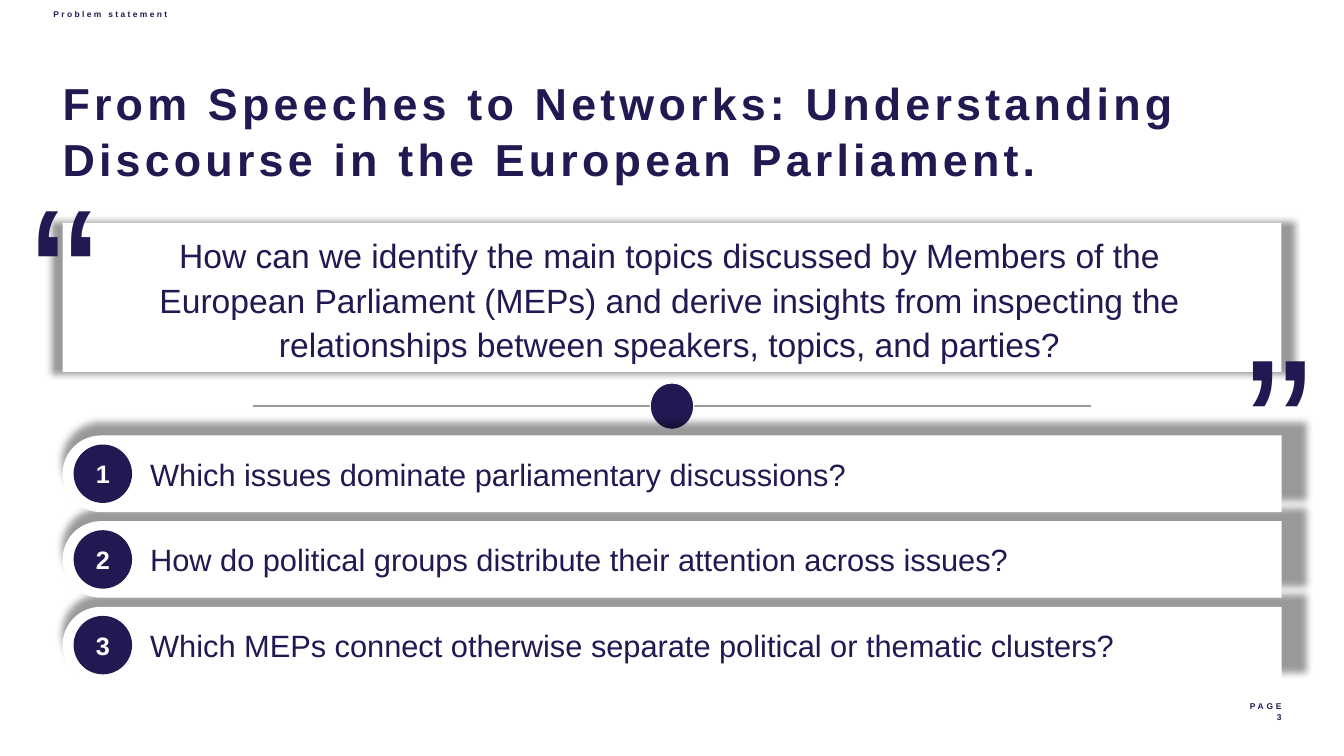
from lxml import etree
from pptx import Presentation
from pptx.dml.color import RGBColor
from pptx.enum import shapes, text
from pptx.oxml import ns
from pptx.util import Inches, Pt

NAVY = RGBColor(0x21, 0x1A, 0x52)
WHITE = RGBColor(0xFF, 0xFF, 0xFF)
GREY = RGBColor(0x9A, 0x9A, 0x9A)
SHAPE = shapes.MSO_SHAPE
MID = text.MSO_ANCHOR.MIDDLE
TOP = text.MSO_ANCHOR.TOP
CENTER = text.PP_ALIGN.CENTER
RIGHT = text.PP_ALIGN.RIGHT

LEFT, WIDE = 0.62, 12.09
BAR, STEP, FIRST = 0.76, 0.85, 4.32
DISC = 0.58

GOAL = ("How can we identify the main topics discussed by Members of the "
        "European Parliament (MEPs) and derive insights from inspecting the "
        "relationships between speakers, topics, and parties?")
ASKS = [
    "Which issues dominate parliamentary discussions?",
    "How do political groups distribute their attention across issues?",
    "Which MEPs connect otherwise separate political or thematic clusters?",
]


class Deck:
    def __init__(self, font="Arial"):
        self.font = font
        self.prs = Presentation()
        self.prs.slide_width = Inches(13.33)
        self.prs.slide_height = Inches(7.5)
        self.slide = self.prs.slides.add_slide(self.prs.slide_layouts[1])
        self.items = self.slide.shapes

    def letter(self, shape, lines, size, color=NAVY, bold=False, space=0,
               align=None, anchor=TOP, pad=(0, 0.05, 0, 0.05), lead=None):
        """Fill a shape's frame, one paragraph for each line."""
        frame = shape.text_frame
        frame.word_wrap = True
        frame.auto_size = text.MSO_AUTO_SIZE.NONE
        frame.vertical_anchor = anchor
        (frame.margin_left, frame.margin_top,
         frame.margin_right, frame.margin_bottom) = map(Inches, pad)
        for i, line in enumerate(lines):
            para = frame.add_paragraph() if i else frame.paragraphs[0]
            para.alignment = align
            para.space_before = Pt(0)
            if lead:
                para.line_spacing = lead
            run = para.add_run()
            run.text = line
            font = run.font
            font.name, font.size, font.bold = self.font, Pt(size), bold
            font.color.rgb = color
            if space:
                run._r.get_or_add_rPr().set("spc", str(int(space * 100)))

    def label(self, box, lines, size, **style):
        shape = self.items.add_textbox(*map(Inches, box))
        self.letter(shape, lines, size, **style)

    def holder(self, index, box, line, size, **style):
        """Move a placeholder, drop its bullet and fill it."""
        shape = self.slide.placeholders[index]
        shape.left, shape.top, shape.width, shape.height = map(Inches, box)
        props = shape.text_frame.paragraphs[0]._p.get_or_add_pPr()
        props.set("marL", "0")
        props.set("indent", "0")
        etree.SubElement(props, ns.qn("a:buNone"))
        self.letter(shape, [line], size, bold=True, **style)

    def paint(self, shape, fill, edge=None):
        shape.shadow.inherit = False
        shape.fill.solid()
        shape.fill.fore_color.rgb = fill
        if edge:
            shape.line.color.rgb = edge
            shape.line.width = Pt(0.75)
        else:
            shape.line.fill.background()
        return shape

    def block(self, kind, box, fill, edge=None):
        shape = self.items.add_shape(kind, *map(Inches, box))
        return self.paint(shape, fill, edge)

    def glow(self, shape):
        """Add a soft shadow a little larger than the shape."""
        effects = shape._element.spPr.find(ns.qn("a:effectLst"))
        shade = etree.SubElement(
            effects, ns.qn("a:outerShdw"), blurRad=str(int(Pt(5))),
            sx="102000", sy="102000", algn="ctr", rotWithShape="0")
        color = etree.SubElement(shade, ns.qn("a:prstClr"), val="black")
        etree.SubElement(color, ns.qn("a:alpha"), val="40000")

    def bar(self, top):
        """Draw a bar with a rounded left end."""
        left = LEFT + (WIDE - BAR) / 2
        up = top - (WIDE - BAR) / 2
        shape = self.block(SHAPE.ROUND_2_SAME_RECTANGLE,
                           (left, up, BAR, WIDE), WHITE)
        shape.adjustments[0], shape.adjustments[1] = 0.5, 0
        shape.rotation = 270
        self.glow(shape)

    def rule(self, start, end, y):
        line = self.items.add_connector(
            shapes.MSO_CONNECTOR.STRAIGHT,
            Inches(start), Inches(y), Inches(end), Inches(y))
        line.line.color.rgb = GREY
        line.line.width = Pt(1.5)
        etree.SubElement(line._element.spPr, ns.qn("a:effectLst"))

    def outline(self, points, fill):
        pen = self.items.build_freeform(*points[0], scale=Inches(1))
        pen.add_line_segments(points[1:], close=True)
        self.paint(pen.convert_to_shape(), fill)


def main():
    deck = Deck()
    deck.holder(0, (LEFT, 0.72, 12.22, 0.81),
                "From Speeches to Networks: Understanding Discourse "
                "in the European Parliament.", 32, space=3, lead=1.05,
                align=text.PP_ALIGN.LEFT, pad=(0, 0, 0.1, 0.05))
    deck.holder(1, (0.53, 0.09, 1.99, 0.31), "Problem statement", 6,
                space=1.7, pad=(0, 0, 0, 0.05))
    deck.label((11.16, 6.96, 1.55, 0.31), ["PAGE", "3"], 6, bold=True,
               space=2, align=RIGHT, pad=(0, 0, 0, 0))

    deck.glow(deck.block(SHAPE.RECTANGLE, (LEFT, 2.21, WIDE, 1.48), WHITE))
    deck.label((1.01, 2.26, 11.26, 1.39), [GOAL], 24, align=CENTER,
               anchor=MID, lead=1.1)
    for mark, left, top in (("“", 0.21, 1.43), ("”", 12.26, 2.92)):
        deck.label((left, top, 1.07, 2.52), [mark], 144,
                   pad=(0.1, 0.05, 0.1, 0.05))

    deck.rule(2.51, 10.82, 4.03)
    deck.block(SHAPE.OVAL, (6.45, 3.8, 0.43, 0.46), NAVY, WHITE)
    deck.outline([(6.83, 3.99), (6.81, 3.97), (6.67, 4.13), (6.52, 3.97),
                  (6.51, 3.99), (6.67, 4.16)], WHITE)

    tops = [FIRST + i * STEP for i in range(len(ASKS))]
    for top in reversed(tops):
        deck.bar(top)
    for num, (top, ask) in enumerate(zip(tops, ASKS), 1):
        deck.label((1.49, top, 9.63, BAR), [ask], 22, anchor=MID)
        disc = deck.block(SHAPE.OVAL,
                          (0.73, top + (BAR - DISC) / 2, DISC, DISC), NAVY)
        deck.letter(disc, [str(num)], 18, color=WHITE, bold=True,
                    align=CENTER, anchor=MID)

    deck.prs.save("out.pptx")


if __name__ == "__main__":
    main()
